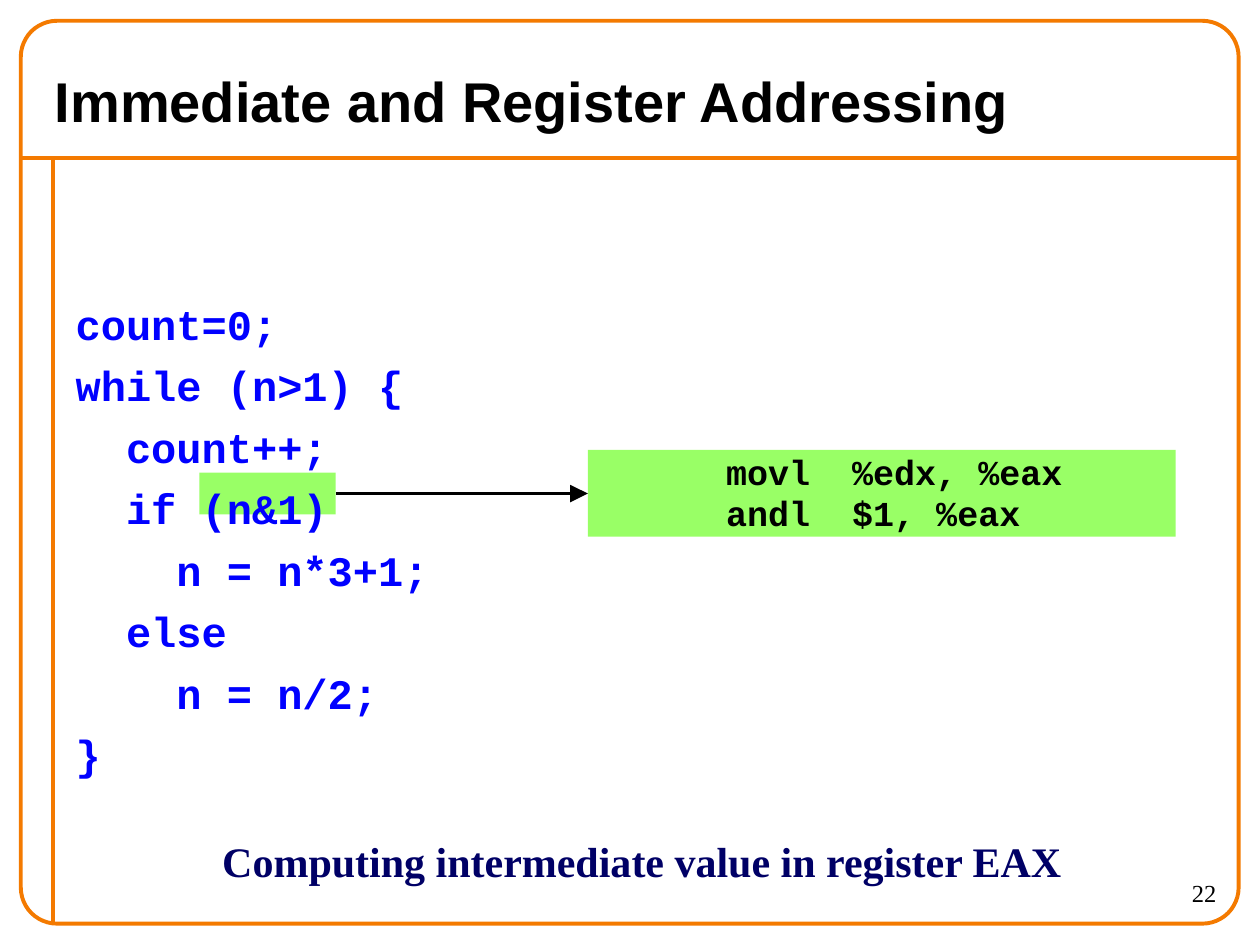
from lxml.etree import SubElement
from pptx import Presentation
from pptx.dml.color import RGBColor
from pptx.enum.shapes import MSO_CONNECTOR, MSO_SHAPE
from pptx.enum.text import MSO_ANCHOR, MSO_AUTO_SIZE, PP_ALIGN
from pptx.oxml.ns import qn
from pptx.util import Cm, Pt

ORANGE = RGBColor(0xF4, 0x7A, 0x00)
GREEN = RGBColor(0x99, 0xFF, 0x66)
BLUE = RGBColor(0x00, 0x00, 0xFF)
NAVY = RGBColor(0x00, 0x00, 0x66)
BLACK = RGBColor(0x00, 0x00, 0x00)

TITLE_FONT = {"name": "Arial", "size": Pt(32), "bold": True}
CODE_FONT = {"name": "Courier New", "size": Pt(24), "bold": True}
ASSEMBLY_FONT = {"name": "Courier New", "size": Pt(20), "bold": True}
CAPTION_FONT = {"name": "Times New Roman", "size": Pt(24), "bold": True}
NUMBER_FONT = {"name": "Times New Roman", "size": Pt(14), "bold": False}

CODE = """count=0;
while (n>1) {
  count++;
  if (n&1)
    n = n*3+1;
  else
    n = n/2;
}"""


def style(font, values, color):
    for attribute, value in values.items():
        setattr(font, attribute, value)
    font.color.rgb = color


def draw_line(x1, y1, x2, y2, color, width):
    line = slide.shapes.add_connector(
        MSO_CONNECTOR.STRAIGHT, Cm(x1), Cm(y1), Cm(x2), Cm(y2))
    line.line.color.rgb = color
    line.line.width = Pt(width)
    SubElement(line._element.spPr, qn("a:effectLst"))
    return line


presentation = Presentation()
presentation.slide_width, presentation.slide_height = Cm(25.4), Cm(19.05)
slide = presentation.slides.add_slide(presentation.slide_layouts[1])
title, code = slide.placeholders

# Frame
draw_line(0.43, 3.18, 24.97, 3.18, ORANGE, 2.25)
draw_line(1.06, 3.18, 1.06, 18.62, ORANGE, 2.25)
frame = slide.shapes.add_shape(
    MSO_SHAPE.ROUNDED_RECTANGLE, Cm(0.42), Cm(0.42), Cm(24.55), Cm(18.2))
frame.adjustments[0] = 0.04
frame.fill.background()
frame.line.color.rgb = ORANGE
frame.line.width = Pt(2.25)
frame.shadow.inherit = False

# Highlighted condition and its assembly code
condition = slide.shapes.add_shape(
    MSO_SHAPE.RECTANGLE, Cm(4.02), Cm(9.53), Cm(2.75), Cm(0.84))
assembly = slide.shapes.add_shape(
    MSO_SHAPE.RECTANGLE, Cm(11.85), Cm(9.07), Cm(11.85), Cm(1.75))
for panel in (condition, assembly):
    panel.fill.solid()
    panel.fill.fore_color.rgb = GREEN
    panel.line.fill.background()
    panel.shadow.inherit = False

assembly_text = assembly.text_frame
assembly_text.text = "\tmovl\t%edx, %eax\n\tandl\t$1, %eax"
assembly_text.vertical_anchor = MSO_ANCHOR.TOP
assembly_text.margin_top = Cm(0.24)
for paragraph, spacing, before in zip(
        assembly_text.paragraphs, (0.7, 0.4), (0, 12.5)):
    tabs = SubElement(paragraph._p.get_or_add_pPr(), qn("a:tabLst"))
    for column in (1, 2):
        SubElement(tabs, qn("a:tab"), pos=str(Cm(2.54 * column)), algn="l")
    paragraph.alignment = PP_ALIGN.LEFT
    paragraph.line_spacing = spacing
    paragraph.space_before = Pt(before)
    for run in paragraph.runs:
        style(run.font, ASSEMBLY_FONT, BLACK)

arrow = draw_line(6.77, 9.95, 11.85, 9.95, BLACK, 2)
SubElement(arrow.line._get_or_add_ln(), qn("a:tailEnd"),
           type="triangle", w="lg", len="lg")

# Title and source code, in front of the highlight
for placeholder, box in ((title, (0.85, 1.06, 23.7, 1.9)),
                         (code, (1.27, 3.39, 8.68, 15.24))):
    slide.shapes._spTree.append(placeholder._element)
    placeholder.left, placeholder.top, placeholder.width, placeholder.height = map(Cm, box)
    placeholder.text_frame.auto_size = MSO_AUTO_SIZE.NONE

title.text_frame.text = "Immediate and Register Addressing"
title.text_frame.vertical_anchor = MSO_ANCHOR.MIDDLE
heading = title.text_frame.paragraphs[0]
heading.alignment = PP_ALIGN.LEFT
style(heading.runs[0].font, TITLE_FONT, BLACK)

code.text_frame.text = CODE
code.text_frame.margin_top = Cm(2.9)
for index, paragraph in enumerate(code.text_frame.paragraphs):
    properties = paragraph._p.get_or_add_pPr()
    properties.set("marL", str(Cm(0.6)))
    properties.set("indent", str(-Cm(0.6)))
    SubElement(properties, qn("a:buNone"))
    paragraph.line_spacing = 0.7
    paragraph.space_before = Pt(15 if index else 0)
    style(paragraph.runs[0].font, CODE_FONT, BLUE)

# Caption and slide number
for words, box, font, color, alignment in (
        ("Computing intermediate value in register EAX",
         (4.23, 16.72, 17.78, 1.27), CAPTION_FONT, NAVY, PP_ALIGN.LEFT),
        ("22", (22.23, 17.57, 2.54, 1.06), NUMBER_FONT, BLACK, PP_ALIGN.RIGHT)):
    label = slide.shapes.add_textbox(*map(Cm, box)).text_frame
    label.word_wrap = True
    label.text = words
    label.paragraphs[0].alignment = alignment
    style(label.paragraphs[0].runs[0].font, font, color)

presentation.save("out.pptx")
